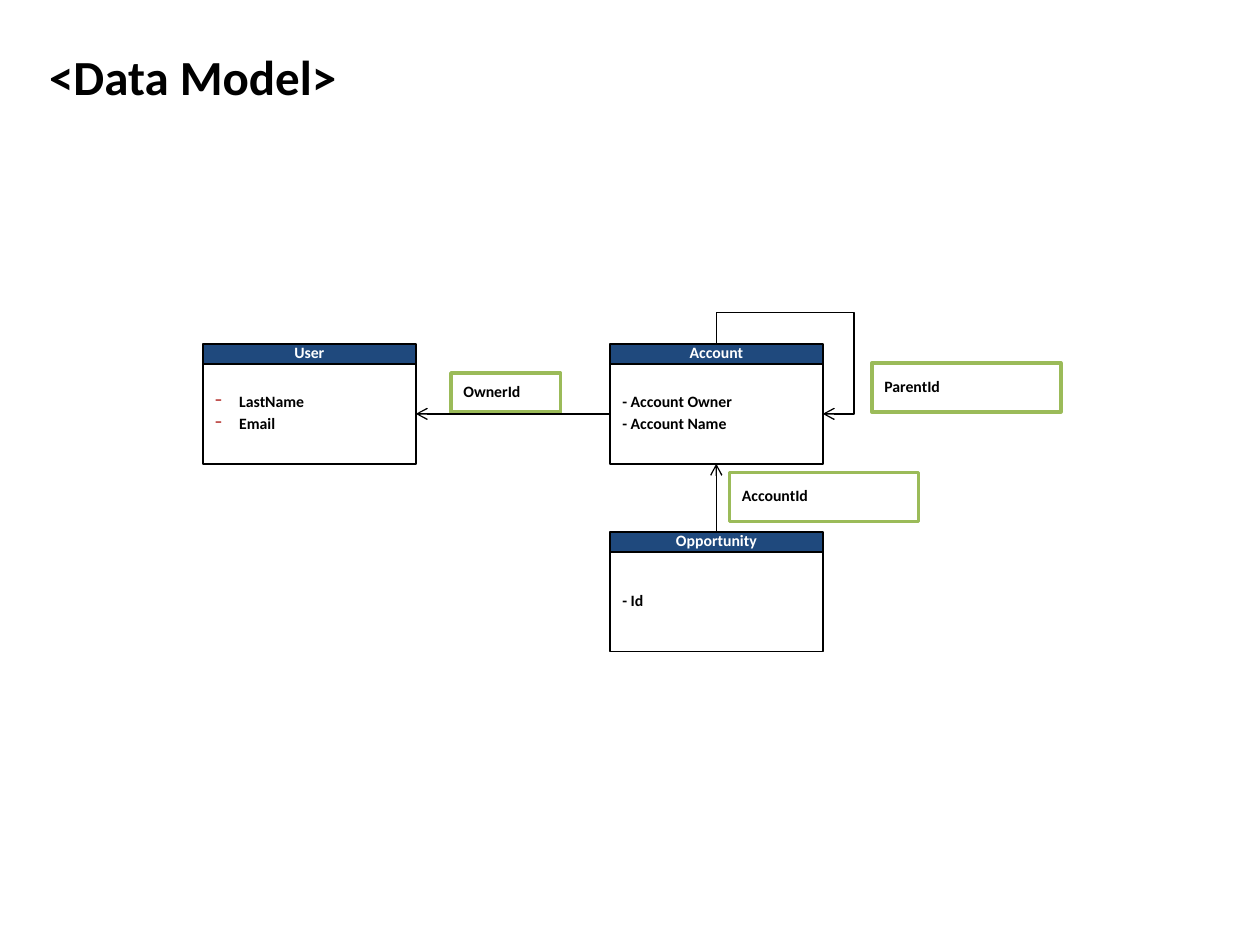
"""Build a data model slide with three entities and their lookup relationships."""
from dataclasses import dataclass

import lxml.etree
import pptx
import pptx.dml.color
import pptx.enum.shapes
import pptx.enum.text
import pptx.oxml.ns
import pptx.util

Inches = pptx.util.Inches
Pt = pptx.util.Pt
qn = pptx.oxml.ns.qn
Align = pptx.enum.text.PP_ALIGN
Connector = pptx.enum.shapes.MSO_CONNECTOR


@dataclass(frozen=True)
class Theme:
    """Colours, font and type sizes of the slide."""
    ink: str = "000000"
    paper: str = "FFFFFF"
    header: str = "1F497D"
    relation: str = "9BBB59"
    bullet: str = "C0504D"
    font: str = "Calibri"
    title_size: float = 28
    label_size: float = 9


@dataclass(frozen=True)
class Entity:
    """An object of the data model with its fields."""
    name: str
    left: float
    top: float
    fields: tuple[str, ...]
    bulleted: bool = False


@dataclass(frozen=True)
class Relation:
    """A labelled box naming a lookup field."""
    name: str
    left: float
    top: float
    width: float
    height: float


THEME = Theme()
ENTITY_WIDTH, HEADER_HEIGHT, BODY_HEIGHT = 1.69, 0.16, 0.79
OWNER = Relation("OwnerId", 3.58, 2.96, 0.87, 0.31)
PARENT = Relation("ParentId", 6.92, 2.88, 1.5, 0.39)
ACCOUNT_LOOKUP = Relation("AccountId", 5.79, 3.75, 1.5, 0.39)
USER = Entity("User", 1.61, 2.73, ("LastName", "Email"), bulleted=True)
ACCOUNT = Entity("Account", 4.84, 2.73, ("- Account Owner", "- Account Name"))
OPPORTUNITY = Entity("Opportunity", 4.84, 4.22, ("- Id",))


def rgb(value: str):
    """Return the colour for a hexadecimal value."""
    return pptx.dml.color.RGBColor.from_string(value)


def add_dash(properties) -> None:
    """Give paragraph properties a coloured dash bullet."""
    colour = lxml.etree.SubElement(properties, qn("a:buClr"))
    lxml.etree.SubElement(colour, qn("a:srgbClr"), val=THEME.bullet)
    lxml.etree.SubElement(properties, qn("a:buSzPct"), val="130000")
    lxml.etree.SubElement(properties, qn("a:buChar"), char="-")


def write(frame, *lines: str, size: float = THEME.label_size, color: str = THEME.ink,
          align=Align.LEFT, line_spacing: float = 0.85, space_before: float = 3.6,
          hanging: float = 0, bulleted: bool = False) -> None:
    """Write bold lines, one per paragraph, centred vertically in the frame."""
    frame.word_wrap = True
    frame.auto_size = pptx.enum.text.MSO_AUTO_SIZE.NONE
    frame.vertical_anchor = pptx.enum.text.MSO_ANCHOR.MIDDLE
    for index, line in enumerate(lines):
        paragraph = frame.add_paragraph() if index else frame.paragraphs[0]
        paragraph.alignment = align
        paragraph.line_spacing = line_spacing
        paragraph.space_before = Pt(space_before)
        run = paragraph.add_run()
        run.text = line
        run.font.name, run.font.size, run.font.bold = THEME.font, Pt(size), True
        run.font.color.rgb = rgb(color)
        properties = paragraph._p.get_or_add_pPr()
        if hanging:
            properties.set("marL", str(Inches(hanging)))
            properties.set("indent", str(Inches(-hanging)))
        if bulleted:
            add_dash(properties)


def add_box(slide, left: float, top: float, width: float, height: float,
            fill: str = THEME.paper, line: str = THEME.ink, weight: float = 1):
    """Add an outlined rectangle."""
    box = slide.shapes.add_shape(pptx.enum.shapes.MSO_SHAPE.RECTANGLE, Inches(left),
                                 Inches(top), Inches(width), Inches(height))
    box.shadow.inherit = False
    box.fill.solid()
    box.fill.fore_color.rgb = rgb(fill)
    box.line.color.rgb = rgb(line)
    box.line.width = Pt(weight)
    return box


def add_entity(slide, entity: Entity) -> tuple:
    """Add an entity and return its header and body."""
    header = add_box(slide, entity.left, entity.top, ENTITY_WIDTH, HEADER_HEIGHT,
                     fill=THEME.header)
    write(header.text_frame, entity.name, color=THEME.paper, align=Align.CENTER)
    body = add_box(slide, entity.left, entity.top + HEADER_HEIGHT, ENTITY_WIDTH, BODY_HEIGHT)
    write(body.text_frame, *entity.fields, bulleted=entity.bulleted,
          hanging=0.19 if entity.bulleted else 0)
    return header, body


def add_relation(slide, relation: Relation) -> None:
    """Add the label of a relationship."""
    label = add_box(slide, relation.left, relation.top, relation.width, relation.height,
                    line=THEME.relation, weight=2)
    write(label.text_frame, relation.name)


def add_arrow(slide, source, source_site: int, target, target_site: int,
              kind=Connector.STRAIGHT):
    """Join two boxes with an open arrow pointing at the target."""
    arrow = slide.shapes.add_connector(kind, 0, 0, 0, 0)
    arrow.begin_connect(source, source_site)
    arrow.end_connect(target, target_site)
    arrow.line.color.rgb = rgb(THEME.ink)
    arrow.line.width = Pt(0.75)
    lxml.etree.SubElement(arrow.line._get_or_add_ln(), qn("a:tailEnd"), type="arrow")
    lxml.etree.SubElement(arrow.element.spPr, qn("a:effectLst"))
    return arrow


def add_self_loop(slide, header, body) -> None:
    """Lead an arrow from the header's top round to the body's right side."""
    loop = add_arrow(slide, header, 0, body, 3, Connector.ELBOW)
    across, down = loop.end_x - loop.begin_x, loop.end_y - loop.begin_y
    middle_x = (loop.begin_x + loop.end_x) // 2
    middle_y = (loop.begin_y + loop.end_y) // 2
    loop.left, loop.top = middle_x - down // 2, middle_y - across // 2
    loop.width, loop.height = down, across
    frame = loop.element.spPr.find(qn("a:xfrm"))
    frame.set("rot", "16200000")
    frame.set("flipH", "1")
    geometry = loop.element.spPr.find(qn("a:prstGeom"))
    geometry.set("prst", "bentConnector4")
    guides = geometry.find(qn("a:avLst"))
    for name, value in (("adj1", -45400), ("adj2", 129500)):
        lxml.etree.SubElement(guides, qn("a:gd"), name=name, fmla=f"val {value}")


def add_title(slide, text: str) -> None:
    """Place and write the slide title."""
    title = slide.shapes.title
    title.left, title.top, title.width, title.height = map(Inches, (0.33, 0, 9, 1.2))
    frame = title.text_frame
    frame.margin_left = frame.margin_top = frame.margin_bottom = Inches(0.06)
    frame.margin_right = Inches(0.1)
    write(frame, text, size=THEME.title_size, line_spacing=1.0, space_before=0, hanging=0.04)


def main() -> None:
    """Build and save the slide."""
    deck = pptx.Presentation()
    deck.slide_width, deck.slide_height = Inches(10), Inches(7.5)
    slide = deck.slides.add_slide(deck.slide_layouts.get_by_name("Title Only"))
    add_relation(slide, OWNER)
    add_title(slide, "<Data Model>")
    account_header, account_body = add_entity(slide, ACCOUNT)
    add_self_loop(slide, account_header, account_body)
    add_relation(slide, PARENT)
    opportunity_header, _ = add_entity(slide, OPPORTUNITY)
    add_arrow(slide, opportunity_header, 0, account_body, 2)
    add_relation(slide, ACCOUNT_LOOKUP)
    _, user_body = add_entity(slide, USER)
    add_arrow(slide, account_body, 1, user_body, 3)
    deck.save("out.pptx")


if __name__ == "__main__":
    main()
